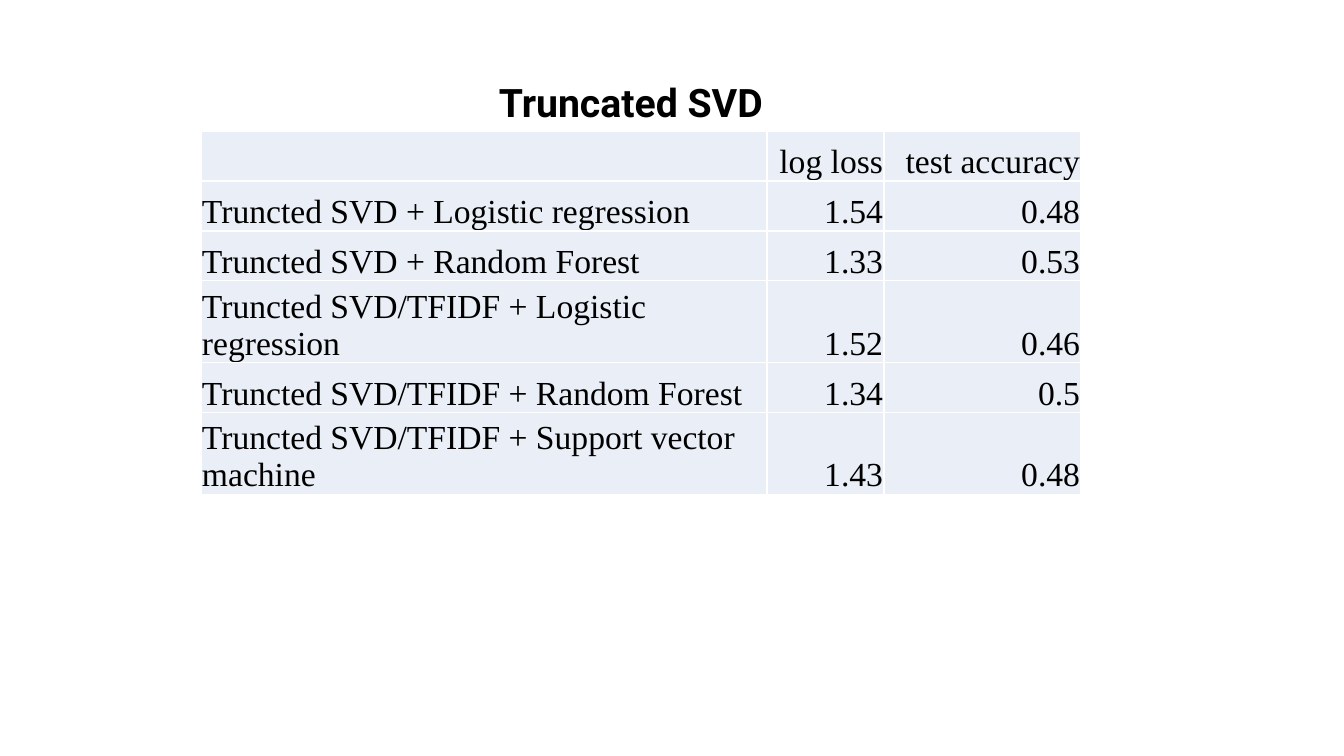
from typing import NamedTuple

from lxml import etree
from pptx import Presentation
from pptx.dml.color import RGBColor
from pptx.enum.text import MSO_ANCHOR, MSO_AUTO_SIZE, PP_ALIGN
from pptx.oxml.ns import qn
from pptx.slide import Slide
from pptx.table import _Cell
from pptx.util import Emu, Pt

BLACK = RGBColor(0x00, 0x00, 0x00)
WHITE = RGBColor(0xFF, 0xFF, 0xFF)
PALE_BLUE = RGBColor(0xEA, 0xEF, 0xF7)

LEFT, RIGHT = PP_ALIGN.LEFT, PP_ALIGN.RIGHT
BOTTOM = MSO_ANCHOR.BOTTOM
FIT_SHAPE = MSO_AUTO_SIZE.SHAPE_TO_FIT_TEXT

PIXELS_PER_INCH = 100.8
ROW_HEIGHT = 50
BORDER_WIDTH = Pt(1)


class Column(NamedTuple):
    heading: str
    width: int
    alignment: PP_ALIGN


class Result(NamedTuple):
    model: str
    log_loss: str
    test_accuracy: str


COLUMNS = [
    Column("", 566, LEFT),
    Column("log loss", 117, RIGHT),
    Column("test accuracy", 197, RIGHT),
]
RESULTS = [
    Result("Truncted SVD + Logistic regression", "1.54", "0.48"),
    Result("Truncted SVD + Random Forest", "1.33", "0.53"),
    Result("Truncted SVD/TFIDF + Logistic regression", "1.52", "0.46"),
    Result("Truncted SVD/TFIDF + Random Forest", "1.34", "0.5"),
    Result("Truncted SVD/TFIDF + Support vector machine", "1.43", "0.48"),
]


def px(length: int) -> Emu:
    return Emu(round(length * 914400 / PIXELS_PER_INCH))


def add_title(slide: Slide, text: str) -> None:
    title = slide.shapes.add_textbox(px(489), px(73), px(302), px(57))
    frame = title.text_frame
    frame.word_wrap = False
    frame.auto_size = FIT_SHAPE
    paragraph = frame.paragraphs[0]
    paragraph.text = text
    paragraph.font.name = "Roboto"
    paragraph.font.size = Pt(28)
    paragraph.font.bold = True
    paragraph.font.color.rgb = BLACK


def add_borders(cell: _Cell) -> None:
    properties = cell._tc.get_or_add_tcPr()
    for side in ("a:lnL", "a:lnR", "a:lnT", "a:lnB"):
        line = etree.SubElement(properties, qn(side), w=str(BORDER_WIDTH))
        fill = etree.SubElement(line, qn("a:solidFill"))
        etree.SubElement(fill, qn("a:srgbClr"), val=str(WHITE))


def format_cell(cell: _Cell, text: str, alignment: PP_ALIGN) -> None:
    add_borders(cell)
    cell.fill.solid()
    cell.fill.fore_color.rgb = PALE_BLUE
    cell.vertical_anchor = BOTTOM
    cell.margin_left = cell.margin_right = cell.margin_top = px(1)
    cell.margin_bottom = 0
    paragraph = cell.text_frame.paragraphs[0]
    paragraph.text = text
    paragraph.alignment = alignment
    paragraph.font.name = "Times New Roman"
    paragraph.font.size = Pt(24)
    paragraph.font.color.rgb = BLACK


def add_results_table(slide: Slide) -> None:
    rows = [tuple(column.heading for column in COLUMNS), *RESULTS]
    width = sum(column.width for column in COLUMNS)
    table = slide.shapes.add_table(
        len(rows), len(COLUMNS), px(201), px(131), px(width), px(ROW_HEIGHT * len(rows))
    ).table
    table.first_row = False
    table.horz_banding = False
    for table_column, column in zip(table.columns, COLUMNS):
        table_column.width = px(column.width)
    for row_index, row in enumerate(rows):
        table.rows[row_index].height = px(ROW_HEIGHT)
        for column_index, (text, column) in enumerate(zip(row, COLUMNS)):
            format_cell(table.cell(row_index, column_index), text, column.alignment)


def main() -> None:
    presentation = Presentation()
    presentation.slide_width = px(1344)
    presentation.slide_height = px(756)
    slide = presentation.slides.add_slide(presentation.slide_layouts[6])
    add_title(slide, "Truncated SVD")
    add_results_table(slide)
    presentation.save("out.pptx")


if __name__ == "__main__":
    main()
